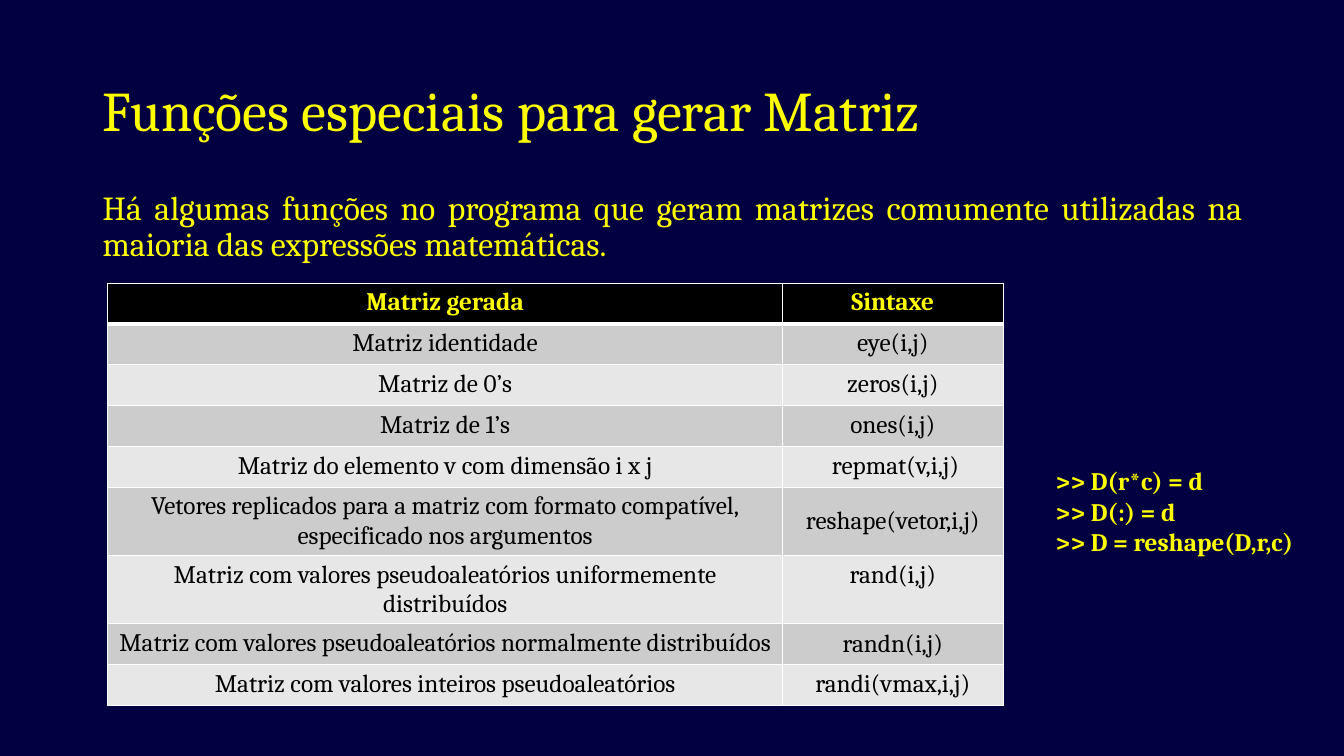
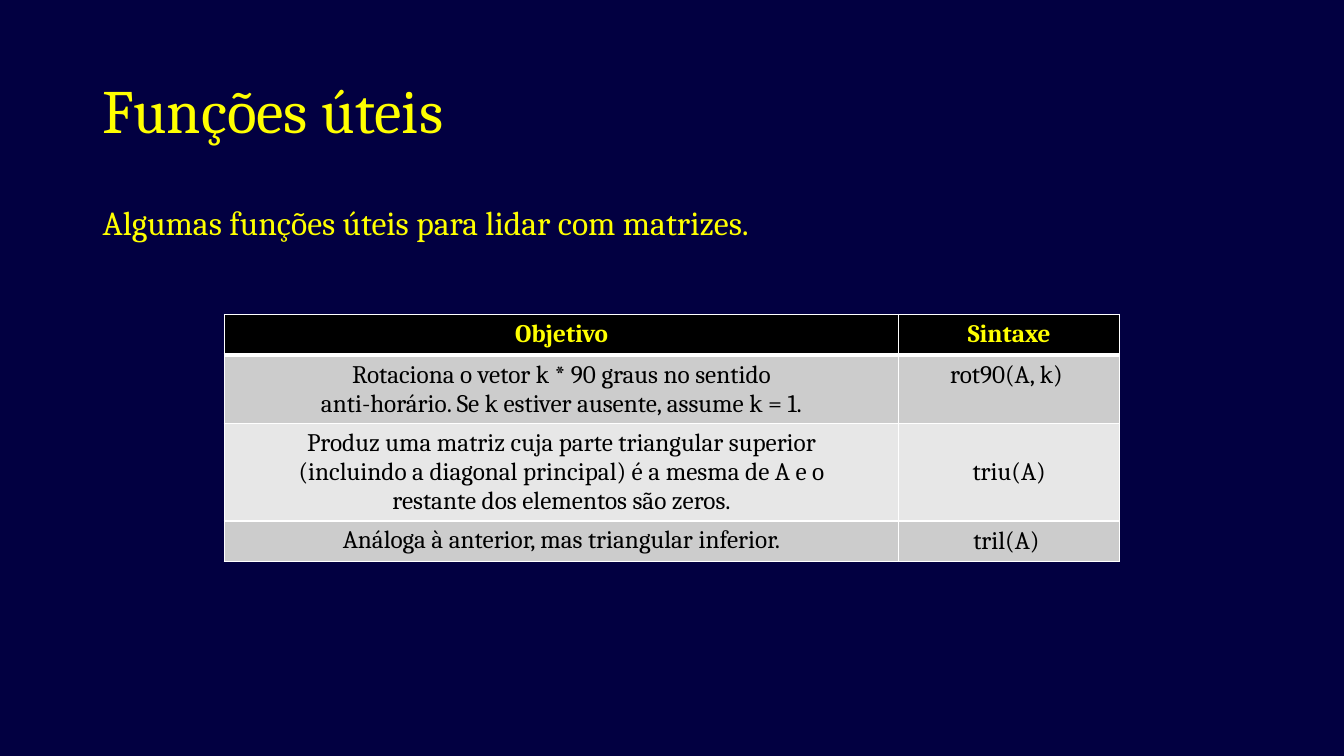
from lxml import etree
from pptx import Presentation
from pptx.dml.color import RGBColor
from pptx.enum.text import MSO_ANCHOR, MSO_AUTO_SIZE, PP_ALIGN
from pptx.oxml.ns import qn
from pptx.util import Inches, Pt

LEFT, CENTER, JUSTIFY = PP_ALIGN.LEFT, PP_ALIGN.CENTER, PP_ALIGN.JUSTIFY
TOP, MIDDLE = MSO_ANCHOR.TOP, MSO_ANCHOR.MIDDLE
FIXED, GROW = MSO_AUTO_SIZE.NONE, MSO_AUTO_SIZE.SHAPE_TO_FIT_TEXT

WIDTH, HEIGHT = 13.33, 7.5
MARGIN, TEXT_WIDTH = 0.92, 11.5
COLUMNS = (6.69, 2.19)
ROW_HEIGHT = 0.054 * HEIGHT
FONT = "Cambria"
NAVY, YELLOW, BLACK, WHITE = "020041", "FFFF00", "000000", "FFFFFF"
BANDS = ("CCCCCC", "E7E7E7")
THIN, THICK = 1, 3

# Each table row: first cell, second cell, vertical anchor of the second cell
GENERATORS = [
    ("Matriz gerada", "Sintaxe", TOP),
    ("Matriz identidade", "eye(i,j)", TOP),
    ("Matriz de 0’s", "zeros(i,j)", TOP),
    ("Matriz de 1’s", "ones(i,j)", TOP),
    ("Matriz do elemento v com dimensão i x j", " repmat(v,i,j)", TOP),
    ("Vetores replicados para a matriz com formato compatível,\n"
     "especificado nos argumentos", "reshape(vetor,i,j)", MIDDLE),
    ("Matriz com valores pseudoaleatórios uniformemente distribuídos",
     "rand(i,j)", TOP),
    ("Matriz com valores pseudoaleatórios normalmente distribuídos",
     "randn(i,j)", MIDDLE),
    ("Matriz com valores inteiros pseudoaleatórios", "randi(vmax,i,j)", TOP),
]
UTILITIES = [
    ("Objetivo", "Sintaxe", TOP),
    ("Rotaciona o vetor k * 90 graus no sentido\n"
     "anti-horário. Se k estiver ausente, assume k = 1.", "rot90(A, k) ", TOP),
    ("Produz uma matriz cuja parte triangular superior\n"
     "(incluindo a diagonal principal) é a mesma de A e o\n"
     "restante dos elementos são zeros.", "triu(A)", MIDDLE),
    ("Análoga à anterior, mas triangular inferior.", "tril(A) ", MIDDLE),
]


def color(value):
    """Turn a hex string into a colour."""
    return RGBColor.from_string(value)


def write(frame, text, size, ink=YELLOW, bold=False, align=LEFT,
          spacing=None, before=0):
    """Fill a text frame and format all its paragraphs alike."""
    frame.text = text
    frame.word_wrap = True
    for para in frame.paragraphs:
        para.alignment = align
        para.line_spacing = spacing
        para.space_before = Pt(before)
        for span in para.runs:
            span.font.name = FONT
            span.font.size = Pt(size)
            span.font.bold = bold
            span.font.color.rgb = color(ink)


def add_page(deck, title, size, align):
    """Add a title-only slide with its title in place."""
    page = deck.slides.add_slide(deck.slide_layouts[5])
    box = page.shapes.title
    box.left, box.top = Inches(MARGIN), Inches(0.4)
    box.width, box.height = Inches(TEXT_WIDTH), Inches(1.45)
    write(box.text_frame, title, size, align=align, spacing=0.9)
    box.text_frame.vertical_anchor = MIDDLE
    box.text_frame.auto_size = FIXED
    return page


def add_text(page, area, text, size, fit=FIXED, **style):
    """Add a text box; area is left, top, width and height."""
    box = page.shapes.add_textbox(*map(Inches, area))
    write(box.text_frame, text, size, **style)
    box.text_frame.auto_size = fit


def set_borders(cell, top, bottom):
    """Draw white lines around a cell, with the given top and bottom widths."""
    properties = cell._tc.get_or_add_tcPr()
    for side, points in (("L", THIN), ("R", THIN), ("T", top), ("B", bottom)):
        line = etree.SubElement(properties, qn(f"a:ln{side}"), w=str(Pt(points)))
        fill = etree.SubElement(line, qn("a:solidFill"))
        etree.SubElement(fill, qn("a:srgbClr"), val=WHITE)


def add_syntax_table(page, left, top, rows):
    """Add a two-column table with a black header and grey bands."""
    frame = page.shapes.add_table(
        len(rows), len(COLUMNS), Inches(left), Inches(top),
        Inches(sum(COLUMNS)), Inches(ROW_HEIGHT * len(rows)))
    table = frame.table
    table.horz_banding = False
    for column, width in zip(table.columns, COLUMNS):
        column.width = Inches(width)
    for number, (purpose, syntax, anchor) in enumerate(rows):
        header = number == 0
        table.rows[number].height = Inches(ROW_HEIGHT)
        for index, (text, place) in enumerate(((purpose, TOP), (syntax, anchor))):
            cell = table.cell(number, index)
            set_borders(cell, THICK if number == 1 else THIN,
                        THICK if header else THIN)
            cell.fill.solid()
            cell.fill.fore_color.rgb = color(
                BLACK if header else BANDS[(number - 1) % 2])
            cell.vertical_anchor = place
            write(cell.text_frame, text, 18, YELLOW if header else BLACK,
                  bold=header, align=CENTER)


def main():
    """Build and save the deck."""
    deck = Presentation()
    deck.slide_width, deck.slide_height = Inches(WIDTH), Inches(HEIGHT)
    background = deck.slide_master.background.fill
    background.solid()
    background.fore_color.rgb = color(NAVY)

    page = add_page(deck, "Funções especiais para gerar Matriz", 40, JUSTIFY)
    add_text(page, (MARGIN, 1.85, TEXT_WIDTH, 4.62),
             "Há algumas funções no programa que geram matrizes comumente "
             "utilizadas na maioria das expressões matemáticas.",
             24, align=JUSTIFY, spacing=0.9, before=10)
    add_syntax_table(page, 1.07, 2.81, GENERATORS)
    add_text(page, (10.37, 4.57, 2.61, 1.01),
             ">> D(r*c) = d\n>> D(:) = d\n>> D = reshape(D,r,c)",
             18, fit=GROW, bold=True)

    page = add_page(deck, "Funções úteis", 44, LEFT)
    add_text(page, (MARGIN, 2, TEXT_WIDTH, 4.76),
             "Algumas funções úteis para lidar com matrizes.",
             24, spacing=0.9, before=10)
    add_syntax_table(page, (WIDTH - sum(COLUMNS)) / 2, 3.12, UTILITIES)

    deck.save("out.pptx")


main()
